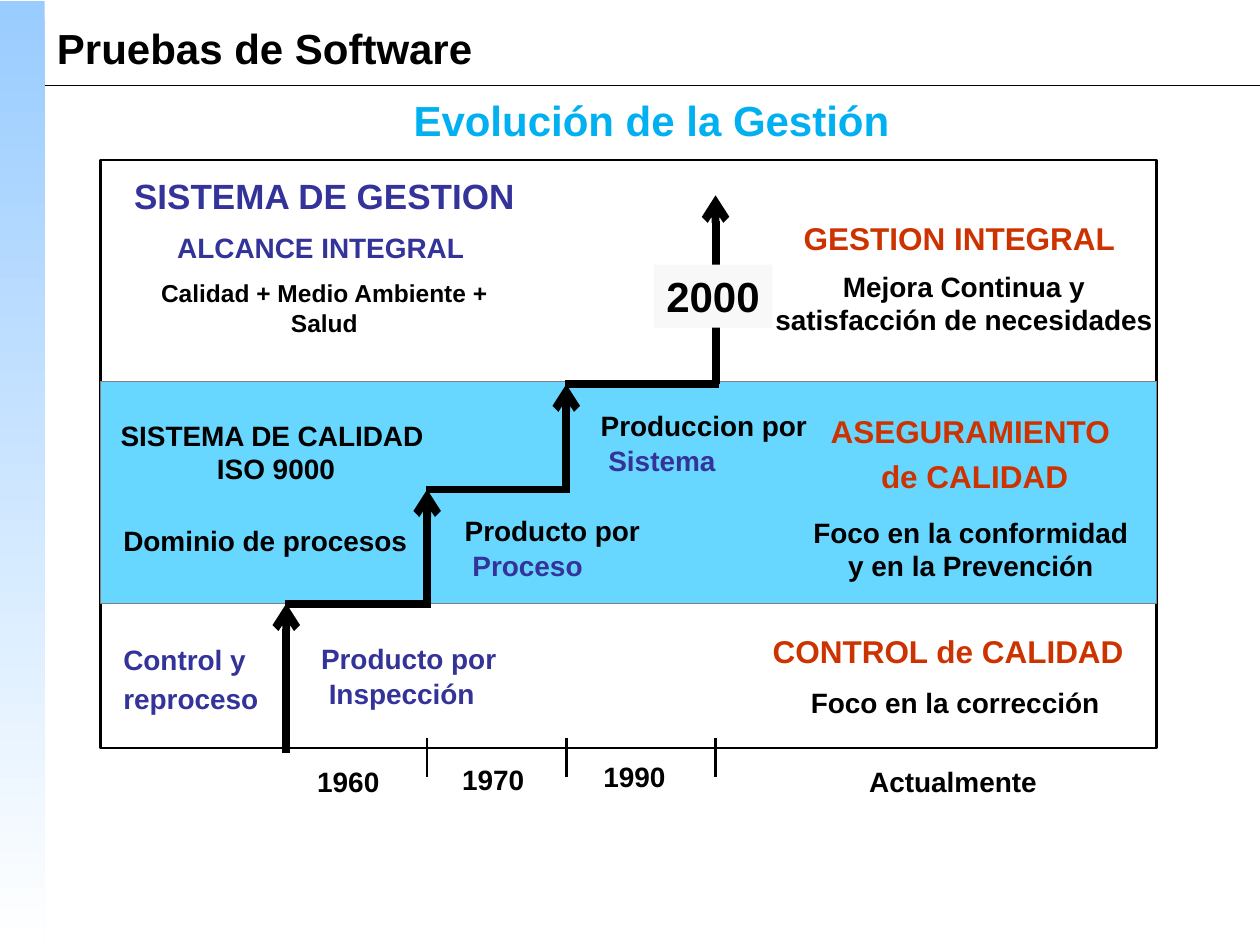
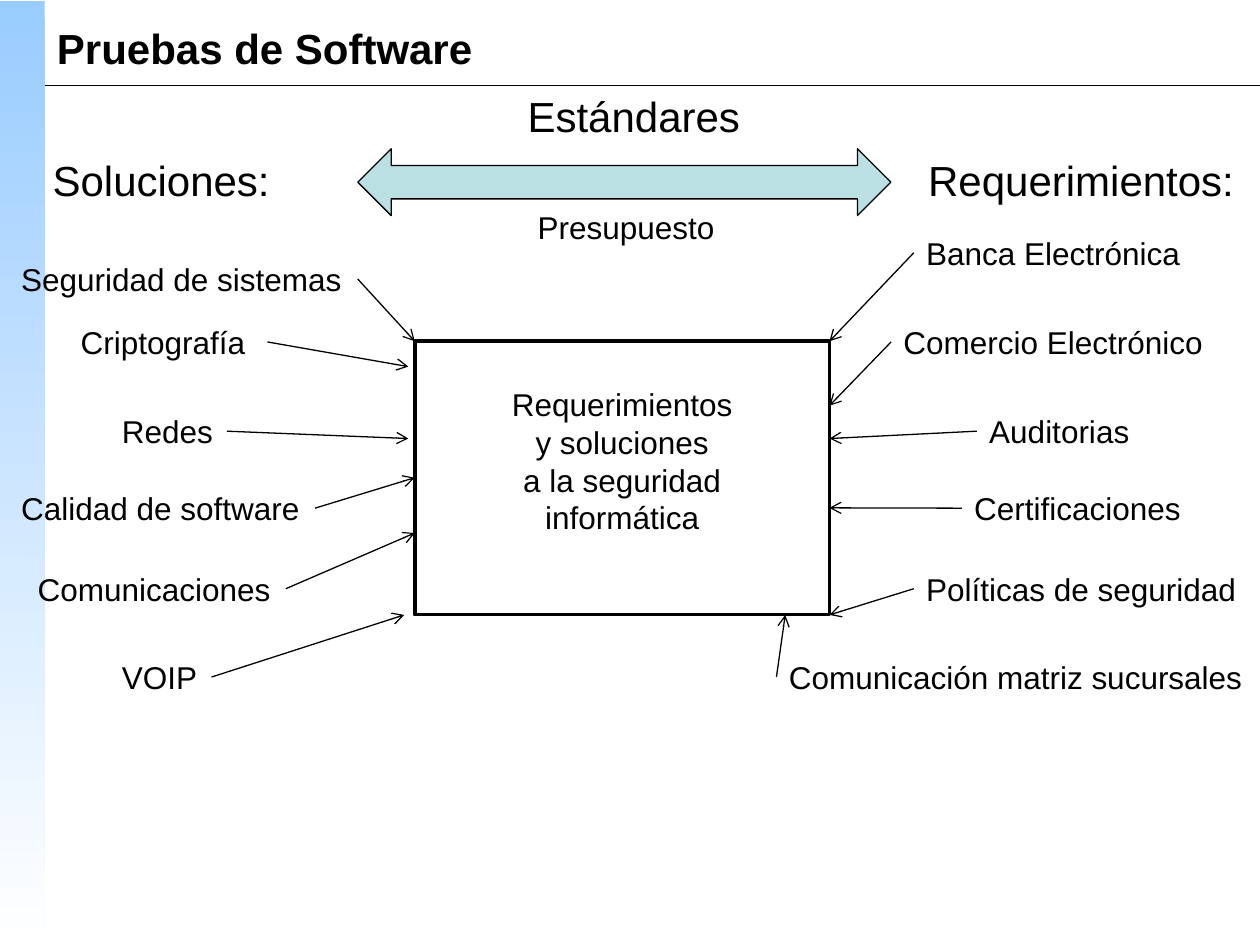
from lxml import etree
from pptx import Presentation
from pptx.dml.color import RGBColor
from pptx.enum.shapes import MSO_CONNECTOR, MSO_SHAPE
from pptx.enum.text import MSO_ANCHOR, MSO_AUTO_SIZE, PP_ALIGN
from pptx.oxml.ns import qn
from pptx.util import Pt

FONT = "Arial"
COLORS = {
    "black": "000000",
    "white": "FFFFFF",
    "sky": "99CCFF",
    "title": "00B0F0",
    "band": "67D7FF",
    "band_edge": "808080",
    "navy": "333399",
    "rust": "CC3300",
    "year": "F8F8F8",
    "arrow": "BBE0E3",
}
LEFT, CENTER = PP_ALIGN.LEFT, PP_ALIGN.CENTER


def rgb(color):
    return RGBColor.from_string(COLORS[color])


def add_run(paragraph, text, size, color="black", bold=False):
    run = paragraph.add_run()
    run.text = text
    run.font.name = FONT
    run.font.size = Pt(size)
    run.font.bold = bold
    run.font.color.rgb = rgb(color)


def add_text(slide, x, y, w, h, lines, size=16, color="black", bold=False,
             align=LEFT, spacing=None, after=0, wrap=False):
    box = slide.shapes.add_textbox(Pt(x), Pt(y), Pt(w), Pt(h))
    frame = box.text_frame
    frame.word_wrap = wrap
    frame.auto_size = MSO_AUTO_SIZE.SHAPE_TO_FIT_TEXT
    for i, line in enumerate(lines):
        paragraph = frame.paragraphs[0] if i == 0 else frame.add_paragraph()
        paragraph.alignment = align
        paragraph.space_after = Pt(after)
        if spacing:
            paragraph.line_spacing = spacing
        text, line_size, line_color = line if isinstance(line, tuple) else (line, size, color)
        add_run(paragraph, text, line_size, line_color, bold)
    return box


def add_box(slide, kind, x, y, w, h, fill=None, line=None, width=0.75):
    box = slide.shapes.add_shape(kind, Pt(x), Pt(y), Pt(w), Pt(h))
    box.shadow.inherit = False
    if fill:
        box.fill.solid()
        box.fill.fore_color.rgb = rgb(fill)
    else:
        box.fill.background()
    if line:
        box.line.color.rgb = rgb(line)
        box.line.width = Pt(width)
    else:
        box.line.fill.background()
    return box


def add_line(slide, x1, y1, x2, y2, width=0.75, arrow=False):
    line = slide.shapes.add_connector(MSO_CONNECTOR.STRAIGHT, Pt(x1), Pt(y1), Pt(x2), Pt(y2))
    line.line.color.rgb = rgb("black")
    line.line.width = Pt(width)
    if arrow:
        etree.SubElement(line.line._get_or_add_ln(), qn("a:tailEnd"), type="arrow")
    etree.SubElement(line._element.spPr, qn("a:effectLst"))


def add_frame(slide):
    side_band = add_box(slide, MSO_SHAPE.RECTANGLE, 0, 0.5, 25.5, 539.5, "sky")
    side_band.fill.gradient()
    side_band.fill.gradient_angle = 270
    for stop, color in zip(side_band.fill.gradient_stops, ("sky", "white")):
        stop.color.rgb = rgb(color)
    add_line(slide, 25.5, 48.8, 720, 48.8)
    course = add_text(slide, 25.5, 0, 694.5, 54, ["Pruebas de Software"], 24, bold=True)
    course.text_frame.auto_size = MSO_AUTO_SIZE.NONE
    course.text_frame.vertical_anchor = MSO_ANCHOR.MIDDLE


def add_title(slide, text, x, y, w, h):
    title = slide.shapes.title
    title.left, title.top, title.width, title.height = Pt(x), Pt(y), Pt(w), Pt(h)
    title.text_frame.vertical_anchor = MSO_ANCHOR.TOP
    paragraph = title.text_frame.paragraphs[0]
    paragraph.alignment = CENTER
    add_run(paragraph, text, 24, "title", True)


def add_stairs(slide, left, top):
    columns = [left + x for x in (106, 186.5, 266, 351.3)]
    levels = [top + y for y in (339, 253.5, 188.3, 128.2, 20.2)]
    for x, start, end in zip(columns, levels, levels[1:]):
        add_line(slide, x, start, x, end, 4.5, arrow=True)
    for x, next_x, y in zip(columns, columns[1:], levels[1:]):
        add_line(slide, x - 0.5, y, next_x + 2, y, 4.5)
    for x in columns[1:]:
        add_line(slide, x, top + 330.5, x, top + 352.8, 1.5)
    year = add_text(slide, left + 316.1, top + 59.8, 67.7, 36, ["2000"], 24, bold=True)
    year.fill.solid()
    year.fill.fore_color.rgb = rgb("year")


def add_scopes(slide, left, top):
    def label(x, y, w, h, lines, **style):
        add_text(slide, left + x, top + y, w, h, lines, bold=True, **style)

    label(6.5, 5, 242.6, 87, [
        ("SISTEMA DE GESTION", 20, "navy"),
        ("ALCANCE INTEGRAL ", 16, "navy"),
        ("Calidad + Medio Ambiente + Salud", 14, "black"),
    ], align=CENTER, after=8, wrap=True)
    label(3.6, 144, 193, 46, ["SISTEMA DE CALIDAD ", "ISO 9000"], align=CENTER)
    label(5.8, 204.5, 177, 26.6, ["Dominio de procesos"])
    label(5.8, 269.3, 91.4, 51.8, ["Control y", "reproceso"], color="navy", spacing=1.15)


def add_step_names(slide, left, top):
    steps = [
        (118.8, 270.7, 115.2, "Producto por", "navy", "Inspección"),
        (200.9, 197.3, 115.2, "Producto por", "black", "Proceso"),
        (278.6, 137.5, 132.5, "Produccion por", "black", "Sistema"),
    ]
    for x, y, w, product, color, method in steps:
        add_text(slide, left + x, top + y, w, 47.5,
                 [(product, 16, color), (" " + method, 16, "navy")], bold=True, spacing=1.05)


def add_goals(slide, left, top):
    goals = [
        (394.6, 25.9, 192.2, ["GESTION INTEGRAL"],
         373.7, 59, 234.7, [" Mejora Continua y", " satisfacción de necesidades"]),
        (409.7, 136.1, 179.3, ["ASEGURAMIENTO ", "de CALIDAD"],
         399.6, 199.4, 195.1, ["Foco en la conformidad", "y en la Prevención"]),
        (376.6, 262, 215.3, ["CONTROL de CALIDAD"],
         398.2, 296.6, 180, ["Foco en la corrección"]),
    ]
    for x, y, w, heading, focus_x, focus_y, focus_w, focus in goals:
        add_text(slide, left + x, top + y, w, 7 + 26 * len(heading), heading, 18, "rust",
                 True, CENTER, 1.2)
        add_text(slide, left + focus_x, top + focus_y, focus_w, 7 + 19.5 * len(focus), focus,
                 bold=True, align=CENTER)


def add_timeline(slide, left, top):
    periods = [(116.6, 4, 50.4, "1960"), (199.4, 2.6, 49.7, "1970"),
               (280.1, 1.1, 50.4, "1990"), (432, 4, 111.6, "Actualmente")]
    for x, y, w, period in periods:
        add_text(slide, left + x, top + y, w, 26.6, [period], bold=True)


def build_evolution(slide, left, top, width, height):
    add_title(slide, "Evolución de la Gestión", 135.4, 50.4, 473.8, 36)
    add_frame(slide)
    add_box(slide, MSO_SHAPE.RECTANGLE, left, top, width, height, line="black", width=1.5)
    add_box(slide, MSO_SHAPE.RECTANGLE, left, top + 126.7, width, 126.7,
            "band", "band_edge", 0.5)
    add_scopes(slide, left, top)
    add_goals(slide, left, top)
    add_stairs(slide, left, top)
    add_step_names(slide, left, top)
    add_timeline(slide, left, top + height + 1.8)


def add_core(slide, left, top, width, height):
    core = add_box(slide, MSO_SHAPE.RECTANGLE, left, top, width, height, "white", "black", 2)
    frame = core.text_frame
    frame.vertical_anchor = MSO_ANCHOR.TOP
    frame.margin_top = Pt(25)
    lines = ["Requerimientos", "y soluciones", "a la seguridad", "informática"]
    for i, line in enumerate(lines):
        paragraph = frame.paragraphs[0] if i == 0 else frame.add_paragraph()
        paragraph.alignment = CENTER
        add_run(paragraph, line, 18)


def add_topics(slide, left, top, topics, first_row, arrow_on_right):
    rows = (first_row, 51, 102, 146, 192, 242.5)
    for (topic, x, w, tip_x, tip_y), y in zip(topics, rows):
        add_text(slide, left + x, top + y, w, 28.8, [topic], 18)
        start = x + w if arrow_on_right else x
        add_line(slide, left + start, top + y + 14.4, left + tip_x, top + tip_y, arrow=True)


def add_balance(slide, left, top):
    add_text(slide, left + 71.3, top - 36.7, 172.8, 36.7, ["Estándares"], 24,
             align=CENTER, wrap=True)
    add_box(slide, MSO_SHAPE.LEFT_RIGHT_ARROW, left, top, 304.6, 38.2, "arrow", "black")
    add_text(slide, left + 95.7, top + 30.2, 116.6, 28.8, ["Presupuesto"], 18)
    add_text(slide, left - 181.5, top, 139.7, 36.7, ["Soluciones:"], 24)
    add_text(slide, left + 317.5, top, 191.5, 36.7, ["Requerimientos:"], 24, align=CENTER)


def build_security(slide, left, top, width, height):
    solutions = [
        ("Seguridad de sistemas", 5, 199.4, 237, 65),
        ("Criptografía", 39, 113.8, 233.3, 79.5),
        ("Redes", 62.6, 67, 233.3, 120.6),
        ("Calidad de software", 5, 175, 237, 143),
        ("Comunicaciones", 14.4, 149, 237, 174.6),
        ("VOIP", 62.6, 58.3, 231, 221.4),
    ]
    requirements = [
        ("Banca Electrónica", 78.5, 161.3, 30.3, 65),
        ("Comercio Electrónico", 65.5, 187.2, 30.3, 101.8),
        ("Auditorias", 114.5, 95, 30.3, 120.6),
        ("Certificaciones", 105.9, 133.9, 30.3, 160.2),
        ("Políticas de seguridad", 78.5, 192.2, 30.3, 221.4),
        ("Comunicación matriz sucursales", 0, 276.5, 5, 221.4),
    ]
    add_frame(slide)
    add_core(slide, left, top, width, height)
    add_topics(slide, left - 237, top - 65, solutions, 15, True)
    add_topics(slide, left + width - 30.3, top - 65, requirements, 0, False)
    add_balance(slide, left - 32.5, top - 110)


def main():
    deck = Presentation()
    deck.slide_width, deck.slide_height = Pt(720), Pt(540)
    title_only, blank = deck.slide_layouts[5], deck.slide_layouts[6]
    build_evolution(deck.slides.add_slide(title_only), 57.6, 91.4, 603.4, 336.2)
    build_security(deck.slides.add_slide(blank), 237, 195, 237, 156.3)
    deck.save("out.pptx")


if __name__ == "__main__":
    main()
